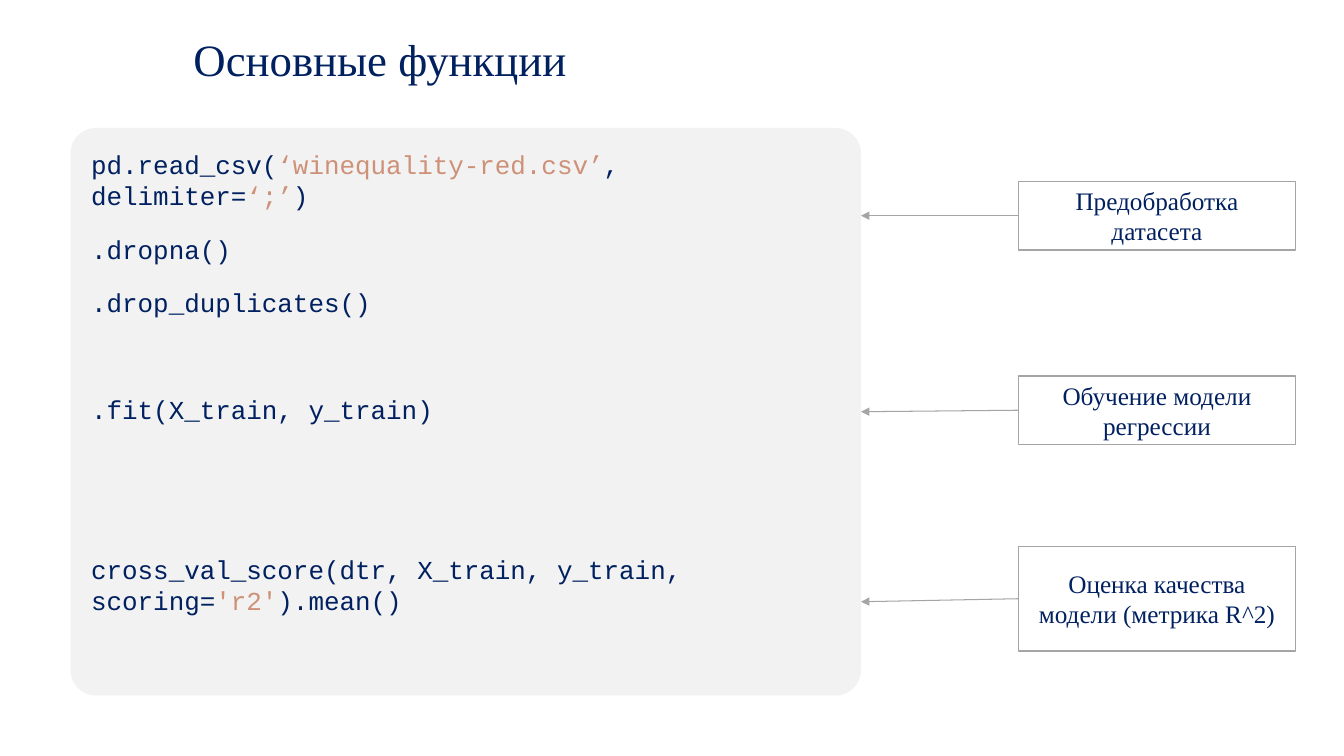
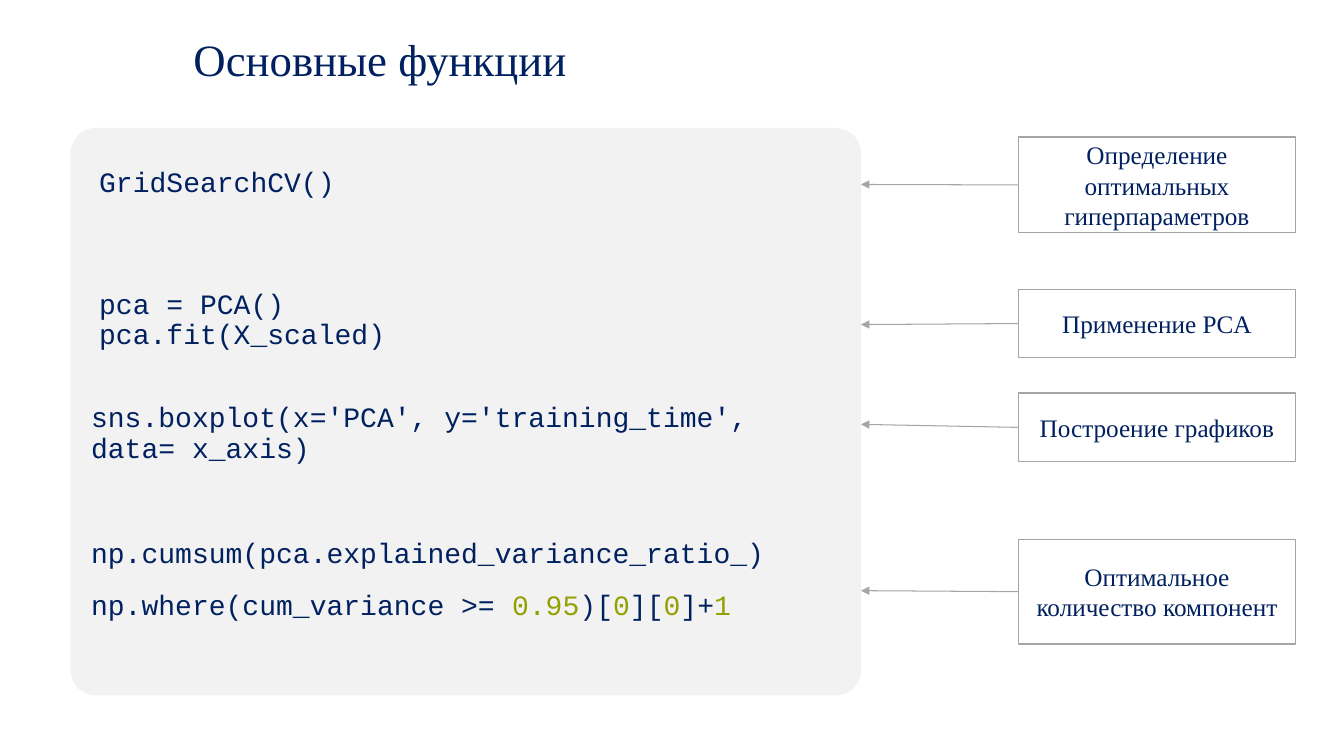
from dataclasses import dataclass

from lxml.etree import SubElement
from pptx import Presentation
from pptx.dml.color import RGBColor
from pptx.enum.shapes import MSO_CONNECTOR as Connector, MSO_SHAPE as Preset
from pptx.enum.text import MSO_ANCHOR as Anchor, PP_ALIGN as Align
from pptx.oxml.ns import qn
from pptx.presentation import Presentation as Deck
from pptx.shapes.autoshape import Shape
from pptx.slide import Slide
from pptx.text.text import _Paragraph as Paragraph
from pptx.util import Inches, Pt

NAVY, STRING, NUMBER = "002060", "CE9178", "92A000"
PANEL_FILL, WHITE, GREY = "F2F2F2", "FFFFFF", "A5A5A5"
SERIF, MONO = "Times New Roman", "Courier New"

PANEL_LEFT, PANEL_TOP, PANEL_WIDTH, PANEL_HEIGHT = 0.7, 1.27, 7.84, 5.63
PANEL_RIGHT = PANEL_LEFT + PANEL_WIDTH
PANEL_MIDDLE = PANEL_TOP + PANEL_HEIGHT / 2
LABEL_LEFT, LABEL_WIDTH = 10.1, 2.75
JOIN_TOLERANCE = 0.03


@dataclass
class CodeLine:
    tokens: list[tuple[str, str]]
    gap_after: float = 16
    indent: float = 0


@dataclass
class Label:
    caption: str
    top: float
    height: float
    arrow_y: float


@dataclass
class FunctionsPage:
    code: list[CodeLine]
    labels: list[Label]
    code_size: float
    line_spacing: float = 1.0
    top_inset: float = 0.13


def rgb(value: str) -> RGBColor:
    return RGBColor.from_string(value)


def add_run(paragraph: Paragraph, text: str, font: str, size: float, color: str = NAVY) -> None:
    run = paragraph.add_run()
    run.text = text
    run.font.name = font
    run.font.size = Pt(size)
    run.font.color.rgb = rgb(color)


def add_title(slide: Slide, text: str) -> None:
    title = slide.shapes.add_textbox(Inches(1.82), Inches(-0.18), Inches(7.62), Inches(1.45))
    frame = title.text_frame
    frame.word_wrap = True
    frame.vertical_anchor = Anchor.MIDDLE
    heading = frame.paragraphs[0]
    heading.line_spacing = 1.15
    add_run(heading, text, SERIF, 32)


def add_box(slide: Slide, preset: Preset, left: float, top: float,
            width: float, height: float, fill: str) -> Shape:
    box = slide.shapes.add_shape(preset, Inches(left), Inches(top), Inches(width), Inches(height))
    box.shadow.inherit = False
    box.fill.solid()
    box.fill.fore_color.rgb = rgb(fill)
    box.text_frame.word_wrap = True
    return box


def add_code_panel(slide: Slide, page: FunctionsPage) -> Shape:
    panel = add_box(slide, Preset.ROUNDED_RECTANGLE, PANEL_LEFT, PANEL_TOP,
                    PANEL_WIDTH, PANEL_HEIGHT, PANEL_FILL)
    panel.adjustments[0] = 0.045
    panel.line.fill.background()
    frame = panel.text_frame
    frame.vertical_anchor = Anchor.TOP
    frame.margin_left = frame.margin_right = frame.margin_bottom = Inches(0.13)
    frame.margin_top = Inches(page.top_inset)
    for index, line in enumerate(page.code):
        paragraph = frame.add_paragraph() if index else frame.paragraphs[0]
        paragraph.alignment = Align.LEFT
        paragraph.line_spacing = page.line_spacing
        paragraph.space_after = Pt(line.gap_after)
        if line.indent:
            paragraph._p.get_or_add_pPr().set("marL", str(Inches(line.indent)))
        for text, color in line.tokens:
            add_run(paragraph, text, MONO, page.code_size, color)
    return panel


def add_label(slide: Slide, label: Label) -> Shape:
    box = add_box(slide, Preset.RECTANGLE, LABEL_LEFT, label.top, LABEL_WIDTH, label.height, WHITE)
    box.line.color.rgb = rgb(GREY)
    box.line.width = Pt(1)
    box.text_frame.vertical_anchor = Anchor.MIDDLE
    caption = box.text_frame.paragraphs[0]
    caption.alignment = Align.CENTER
    add_run(caption, label.caption, SERIF, 18)
    return box


def add_arrow(slide: Slide, label: Label, box: Shape, panel: Shape) -> None:
    y = Inches(label.arrow_y)
    arrow = slide.shapes.add_connector(Connector.STRAIGHT, Inches(LABEL_LEFT), y,
                                       Inches(PANEL_RIGHT), y)
    if abs(label.arrow_y - label.top - label.height / 2) < JOIN_TOLERANCE:
        arrow.begin_connect(box, 1)
    if abs(label.arrow_y - PANEL_MIDDLE) < JOIN_TOLERANCE:
        arrow.end_connect(panel, 3)
    arrow.line.color.rgb = rgb(GREY)
    arrow.line.width = Pt(0.75)
    properties = arrow._element.spPr
    SubElement(properties.find(qn("a:ln")), qn("a:tailEnd"), type="triangle")
    SubElement(properties, qn("a:effectLst"))


def add_page(deck: Deck, page: FunctionsPage) -> None:
    slide = deck.slides.add_slide(deck.slide_layouts[6])
    panel = add_code_panel(slide, page)
    for label in page.labels:
        add_arrow(slide, label, add_label(slide, label), panel)
    add_title(slide, "Основные функции")


PAGES = [
    FunctionsPage(
        code=[
            CodeLine([("pd.read_csv(", NAVY), ("‘winequality-red.csv’", STRING),
                      (", delimiter=", NAVY), ("‘;’", STRING), (")", NAVY)]),
            CodeLine([(".dropna()", NAVY)]),
            CodeLine([(".drop_duplicates()", NAVY)], gap_after=54),
            CodeLine([(".fit(X_train, y_train)", NAVY)], gap_after=92),
            CodeLine([("cross_val_score(dtr, X_train, y_train, scoring=", NAVY),
                      ("'r2'", STRING), (").mean()", NAVY)]),
        ],
        labels=[
            Label("Предобработка датасета", 1.8, 0.68, 2.14),
            Label("Обучение модели регрессии", 3.73, 0.68, 4.09),
            Label("Оценка качества модели (метрика R^2)", 5.42, 1.04, 5.97),
        ],
        code_size=18.5,
    ),
    FunctionsPage(
        code=[
            CodeLine([("GridSearchCV()", NAVY)], gap_after=65, indent=0.08),
            CodeLine([("pca = PCA()", NAVY)], gap_after=0, indent=0.08),
            CodeLine([("pca.fit(X_scaled)", NAVY)], gap_after=38, indent=0.08),
            CodeLine([("sns.boxplot(x='PCA', y='training_time', data= x_axis)", NAVY)],
                     gap_after=53.5),
            CodeLine([("np.cumsum(pca.explained_variance_ratio_)", NAVY)]),
            CodeLine([("np.where(cum_variance >= ", NAVY), ("0.95", NUMBER), (")[", NAVY),
                      ("0", NUMBER), ("][", NAVY), ("0", NUMBER), ("]+", NAVY), ("1", NUMBER)]),
        ],
        labels=[
            Label("Определение оптимальных гиперпараметров", 1.36, 0.95, 1.83),
            Label("Применение PCA", 2.87, 0.68, 3.22),
            Label("Построение графиков", 3.9, 0.68, 4.21),
            Label("Оптимальное количество компонент", 5.35, 1.04, 5.86),
        ],
        code_size=20,
        line_spacing=0.9,
        top_inset=0.33,
    ),
]


def main() -> None:
    deck = Presentation()
    deck.slide_width, deck.slide_height = Inches(13.33), Inches(7.5)
    for page in PAGES:
        add_page(deck, page)
    deck.save("out.pptx")


if __name__ == "__main__":
    main()
